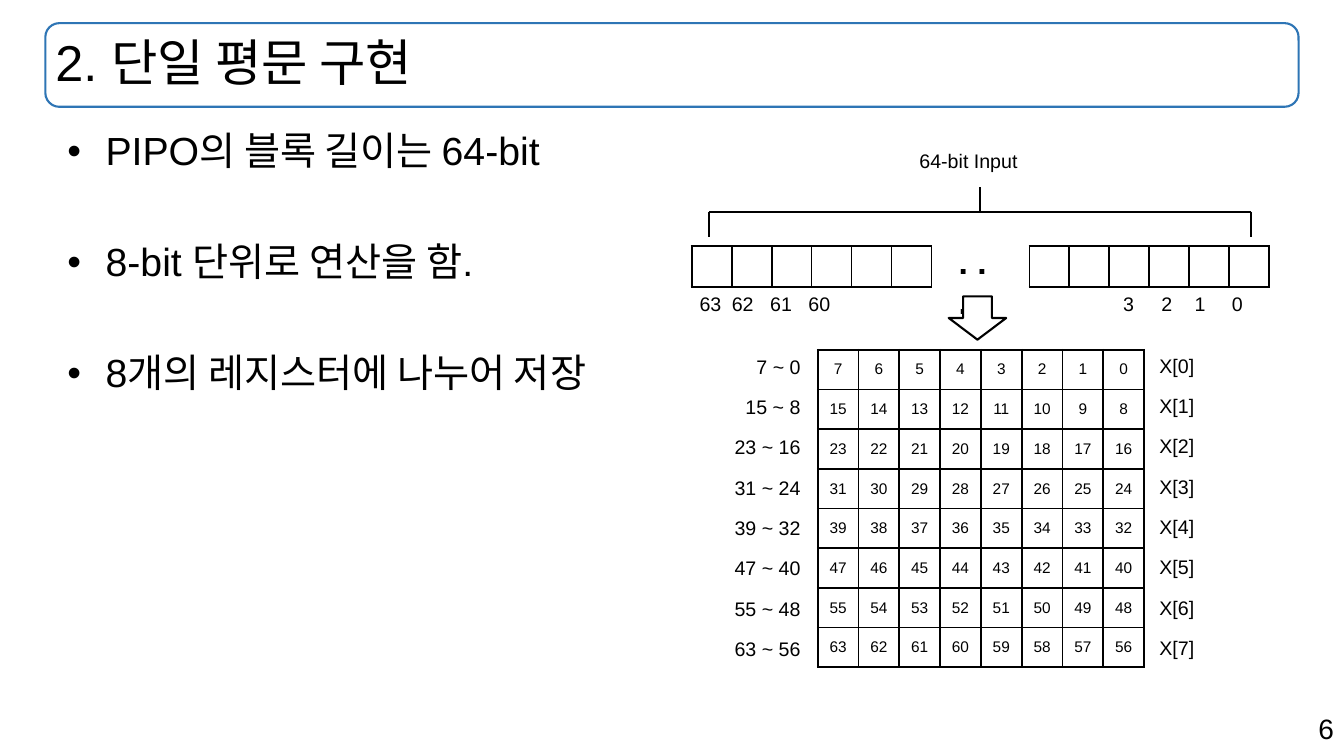
from lxml.etree import SubElement
from pptx import Presentation
from pptx.dml.color import RGBColor
from pptx.enum.shapes import MSO_CONNECTOR, MSO_SHAPE
from pptx.enum.text import MSO_ANCHOR, PP_ALIGN
from pptx.oxml.ns import qn
from pptx.util import Inches, Pt

FONT = "Arial"
BLACK, WHITE, BLUE = "000000", "FFFFFF", "2E75B5"
LINE_WIDTH = 1.5


def color(hex_string):
    return RGBColor.from_string(hex_string)


def write(frame, *lines, size=14, bold=False, align=PP_ALIGN.LEFT, anchor=MSO_ANCHOR.TOP,
          spacing=None, before=(), bullet=False, tabs=()):
    frame.word_wrap = True
    frame.vertical_anchor = anchor
    for index, line in enumerate(lines):
        paragraph = frame.add_paragraph() if index else frame.paragraphs[0]
        paragraph.alignment = align
        if spacing:
            paragraph.line_spacing = spacing
        if before:
            paragraph.space_before = Pt(before[min(index, len(before) - 1)])
        run = paragraph.add_run()
        run.text = line
        run.font.name, run.font.size, run.font.bold = FONT, Pt(size), bold
        run.font.color.rgb = color(BLACK)
        properties = paragraph._p.get_or_add_pPr()
        if bullet:
            properties.set("marL", str(Inches(0.5)))
            properties.set("indent", str(Inches(-0.38)))
            SubElement(properties, qn("a:buFont"), typeface=FONT)
            SubElement(properties, qn("a:buChar"), char="•")
        if tabs:
            stops = SubElement(properties, qn("a:tabLst"))
            for stop in tabs:
                SubElement(stops, qn("a:tab"), pos=str(Inches(stop)), algn="l")


def label(slide, box, *lines, **style):
    write(slide.shapes.add_textbox(*map(Inches, box)).text_frame, *lines, **style)


def outlined(slide, preset, box, line, fill=None):
    shape = slide.shapes.add_shape(preset, *map(Inches, box))
    shape.shadow.inherit = False
    if fill:
        shape.fill.solid()
        shape.fill.fore_color.rgb = color(fill)
    else:
        shape.fill.background()
    shape.line.color.rgb = color(line)
    shape.line.width = Pt(LINE_WIDTH)
    return shape


def bracket_line(slide, x1, y1, x2, y2):
    line = slide.shapes.add_connector(MSO_CONNECTOR.STRAIGHT, *map(Inches, (x1, y1, x2, y2)))
    line.line.color.rgb = color(BLACK)
    line.line.width = Pt(LINE_WIDTH)
    SubElement(line._element.spPr, qn("a:effectLst"))


def border(cell):
    properties = cell._tc.get_or_add_tcPr()
    for position, side in enumerate(("a:lnL", "a:lnR", "a:lnT", "a:lnB")):
        edge = SubElement(properties, qn(side), w=str(Pt(LINE_WIDTH)))
        SubElement(SubElement(edge, qn("a:solidFill")), qn("a:srgbClr"), val=BLACK)
        properties.insert(position, edge)


def bit_table(slide, box, rows, columns, number=None):
    """Grid of bits; number(row, column) gives the text of each cell."""
    left, top, width, height = box
    table = slide.shapes.add_table(rows, columns, *map(Inches, box)).table
    table.first_row = table.horz_banding = False
    for column in table.columns:
        column.width = Inches(width / columns)
    for row in table.rows:
        row.height = Inches(height / rows)
    for r in range(rows):
        for c in range(columns):
            cell = table.cell(r, c)
            cell.fill.solid()
            cell.fill.fore_color.rgb = color(WHITE)
            border(cell)
            if number:
                write(cell.text_frame, str(number(r, c)), size=11, align=PP_ALIGN.CENTER)
                cell.vertical_anchor = MSO_ANCHOR.MIDDLE


def title_bar(slide, box):
    outlined(slide, MSO_SHAPE.ROUNDED_RECTANGLE, box, BLUE)
    label(slide, box, "2. 단일 평문 구현", size=36, spacing=0.9, anchor=MSO_ANCHOR.MIDDLE)


def key_points(slide, box):
    label(slide, box, "PIPO의 블록 길이는 64-bit", "8-bit 단위로 연산을 함.",
          "8개의 레지스터에 나누어 저장", size=28, spacing=0.9, before=(10, 49), bullet=True)


def input_block(slide, box):
    left, top, width, height = box
    # Caption and bracket
    label(slide, (left + 2.16, top, 1.42, 0.4), "64-bit Input")
    start, end, middle, bar = left + 0.17, left + 5.55, left + 2.86, top + 0.67
    bracket_line(slide, start, bar, start, bar + 0.25)
    bracket_line(slide, start, bar, end, bar)
    bracket_line(slide, end, bar, end, bar + 0.25)
    bracket_line(slide, middle, bar - 0.24, middle, bar)
    # High and low bits, with the bits between them
    cells_width, cells_height = 2.38, 0.41
    cells_top = top + height - cells_height - 0.4
    for cells_left in (left, left + width - cells_width):
        bit_table(slide, (cells_left, cells_top, cells_width, cells_height), 1, 6)
    label(slide, (left + 2.55, cells_top - 0.1, 0.62, 0.5), ". . .", size=24, bold=True)
    # Bit numbers
    numbers_top = top + height - 0.4
    label(slide, (left - 0.02, numbers_top, 1.8, 0.4), "63\t62\t61\t60", tabs=(0.32, 0.7, 1.08))
    label(slide, (left + 4.18, numbers_top, 1.7, 0.4), "3\t2\t1\t0", tabs=(0.38, 0.71, 1.08))


def register_block(slide, box):
    left, top, width, height = box
    registers, bits, pitch = 8, 8, 0.4
    bit_table(slide, box, registers, bits, lambda r, c: bits * r + bits - 1 - c)
    for register in range(registers):
        label_top = top + pitch * register
        low = bits * register
        label(slide, (left - 0.93, label_top, 0.86, 0.4), f"{low + bits - 1} ~ {low}",
              align=PP_ALIGN.RIGHT)
        label(slide, (left + width + 0.05, label_top - 0.01, 0.62, 0.4), f"X[{register}]")


def main():
    deck = Presentation()
    deck.slide_width, deck.slide_height = Inches(13.33), Inches(7.5)
    slide = deck.slides.add_slide(deck.slide_layouts[6])
    title_bar(slide, (0.45, 0.23, 12.43, 0.83))
    key_points(slide, (0.45, 1.26, 12.43, 5.53))
    input_block(slide, (6.86, 1.43, 5.73, 1.82))
    outlined(slide, MSO_SHAPE.DOWN_ARROW, (9.41, 2.94, 0.57, 0.43), BLACK, WHITE)
    register_block(slide, (8.11, 3.47, 3.24, 3.15))
    label(slide, (9.43, 7.01, 3.9, 0.44), "6", size=20, align=PP_ALIGN.RIGHT)
    deck.save("out.pptx")


if __name__ == "__main__":
    main()
